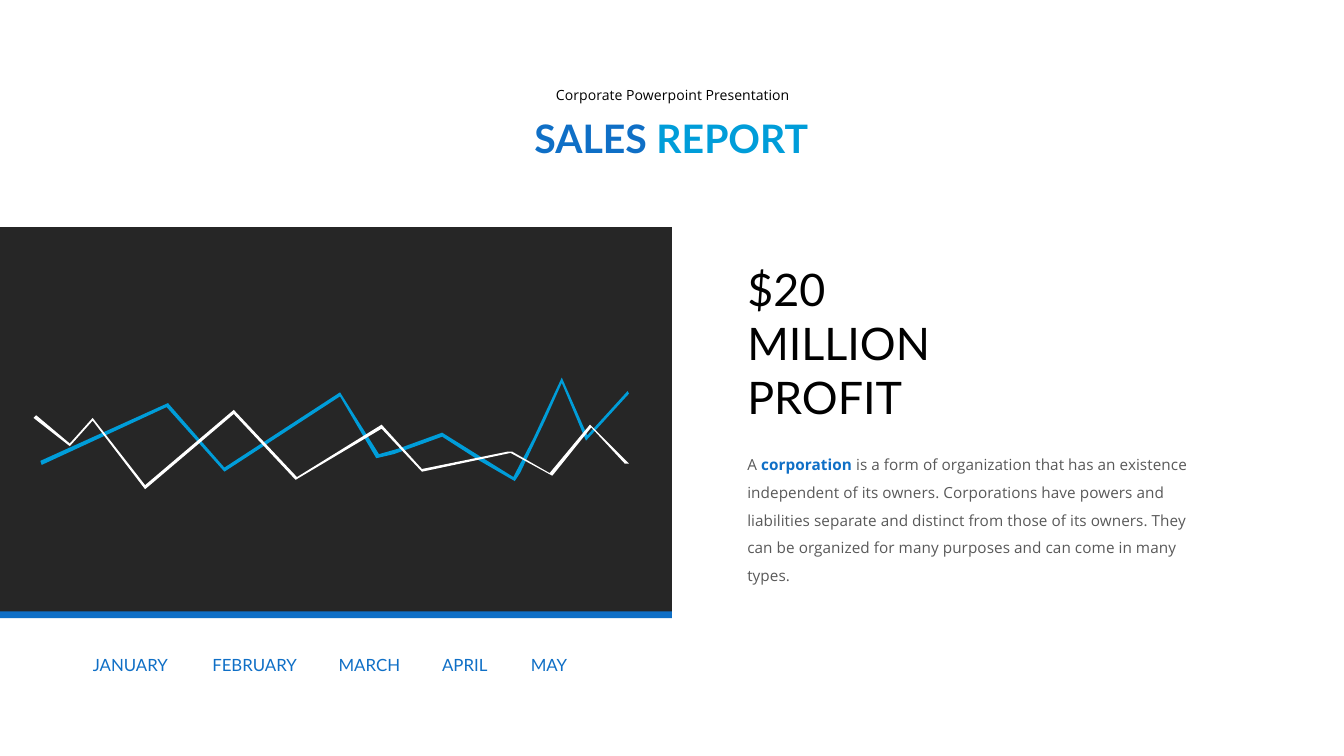
from pptx import Presentation
from pptx.dml.color import RGBColor as RGB
from pptx.enum.shapes import MSO_SHAPE as Kind
from pptx.enum.text import PP_ALIGN as Align
from pptx.util import Inches, Pt

HUES = {"blue": "0F6FC6", "sky": "009DD9", "dark": "262626",
        "gray": "595959", "black": "000000", "white": "FFFFFF"}
MONTHS = [("JANUARY", 0.69, 0.59), ("FEBRUARY", 1.58, 0.66),
          ("MARCH", 2.52, 0.47), ("APRIL", 3.29, 0.36), ("MAY", 3.95, 0.28)]
SKY = [(0.31, 3.46), (1.24, 3.03), (1.67, 3.51), (2.53, 2.95), (2.8, 3.41),
       (2.93, 3.38), (3.29, 3.25), (3.57, 3.43), (3.83, 3.58), (3.87, 3.52),
       (4.06, 3.12), (4.18, 2.85), (4.36, 3.28), (4.68, 2.93), (4.67, 2.91),
       (4.37, 3.24), (4.18, 2.81), (3.97, 3.26), (3.82, 3.55), (3.53, 3.37),
       (3.29, 3.22), (2.96, 3.34), (2.82, 3.38), (2.53, 2.92), (1.67, 3.48),
       (1.25, 3), (0.3, 3.43)]
WHITE = [(0.25, 3.11), (0.52, 3.32), (0.69, 3.13), (1.08, 3.64), (1.74, 3.08),
         (2.2, 3.57), (2.84, 3.19), (3.14, 3.51), (3.8, 3.37), (4.11, 3.54),
         (4.4, 3.18), (4.65, 3.45), (4.68, 3.45), (4.39, 3.16), (4.09, 3.52),
         (3.81, 3.36), (3.78, 3.36), (3.14, 3.49), (2.84, 3.16), (2.21, 3.55),
         (1.74, 3.05), (1.08, 3.61), (0.69, 3.11), (0.52, 3.3), (0.27, 3.09)]


def paint(shape, hue):
    shape.shadow.inherit = False
    shape.fill.solid()
    shape.fill.fore_color.rgb = RGB.from_string(HUES[hue])
    shape.line.fill.background()


def add_bar(slide, box, hue):
    paint(slide.shapes.add_shape(Kind.RECTANGLE, *map(Inches, box)), hue)


def add_trend(slide, spots, hue):
    first, *rest = [(Inches(x), Inches(y)) for x, y in spots]
    pen = slide.shapes.build_freeform(*first)
    pen.add_line_segments(rest, close=True)
    paint(pen.convert_to_shape(), hue)


def add_text(slide, box, runs, font, size, align=Align.LEFT,
             pad=(0.07, 0.04), wrap=True, bold=False, gap=None):
    frame = slide.shapes.add_textbox(*map(Inches, box)).text_frame
    frame.word_wrap = wrap
    frame.margin_left = frame.margin_right = Inches(pad[0])
    frame.margin_top = frame.margin_bottom = Inches(pad[1])
    para = frame.paragraphs[0]
    para.alignment = align
    if gap:
        para.line_spacing = gap
    para.font.name, para.font.size, para.font.bold = font, Pt(size), bold
    for text, hue, *strong in runs:
        run = para.add_run()
        run.text = text
        run.font.color.rgb = RGB.from_string(HUES[hue])
        if strong:
            run.font.bold = True


def main():
    deck = Presentation()
    deck.slide_width = Inches(10)
    deck.slide_height = deck.slide_width * 9 // 16
    slide = deck.slides.add_slide(deck.slide_layouts[6])

    add_bar(slide, (0, 1.69, 5, 2.87), "dark")
    add_text(slide, (3.33, 0.81, 3.33, 0.43),
             [("SALES ", "blue"), ("REPORT", "sky")],
             "Lato", 21, Align.CENTER, bold=True)
    add_text(slide, (3.18, 0.6, 3.65, 0.2),
             [("Corporate Powerpoint Presentation", "black")],
             "Open Sans", 7.5, Align.CENTER)
    add_bar(slide, (0, 4.55, 5, 0.05), "blue")
    for name, left, width in MONTHS:
        add_text(slide, (left, 4.87, width, 0.15), [(name, "blue")],
                 "Lato", 9, pad=(0, 0), wrap=False)
    add_text(slide, (5.49, 3.28, 3.45, 1.12),
             [("A ", "gray"), ("corporation", "blue", True),
              (" is a form of organization that has an existence independent "
               "of its owners. Corporations have powers and liabilities "
               "separate and distinct from those of its owners. They can be "
               "organized for many purposes and can come in many types.",
               "gray")],
             "Open Sans", 8.25, gap=1.5)
    add_text(slide, (5.49, 1.91, 2.08, 1.29),
             [("$20 MILLION PROFIT", "black")], "Lato", 24)
    add_trend(slide, SKY, "sky")
    add_trend(slide, WHITE, "white")
    deck.save("out.pptx")


if __name__ == "__main__":
    main()
